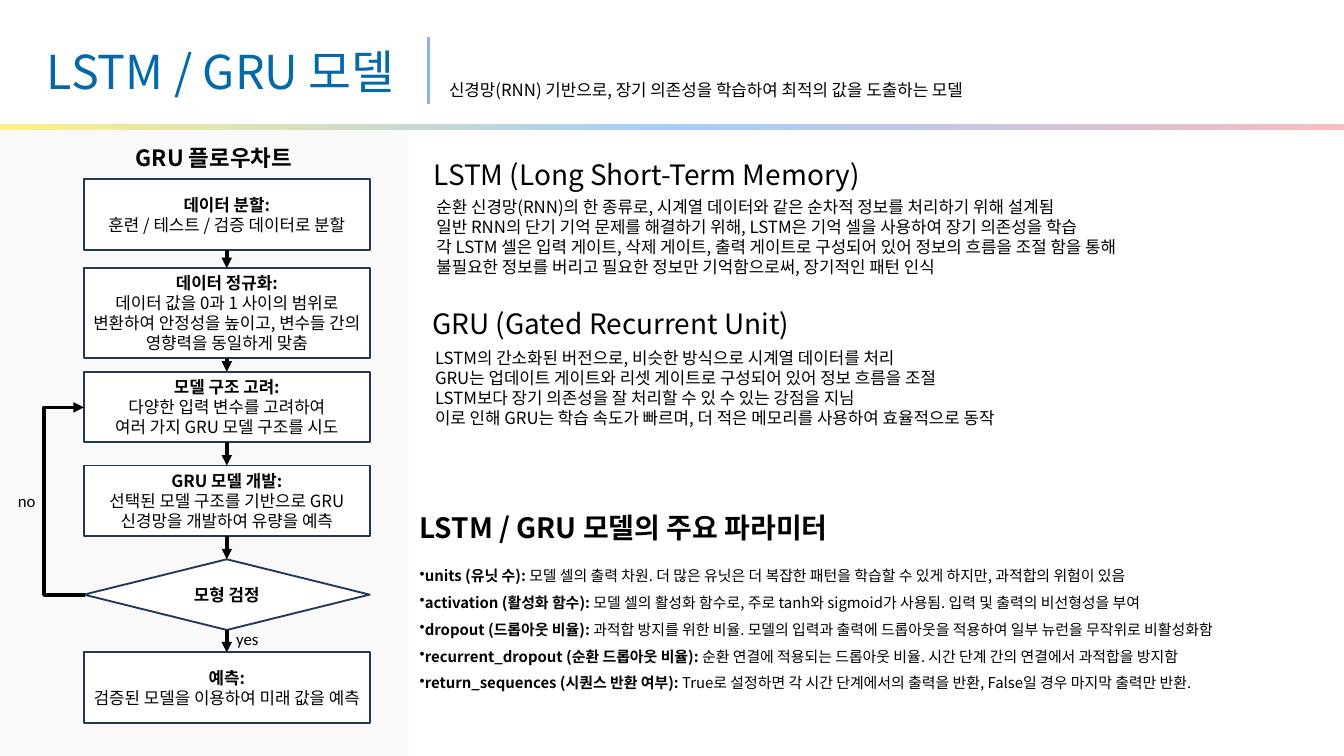
from copy import deepcopy
from itertools import pairwise

from lxml.etree import SubElement
from pptx import Presentation
from pptx.dml.color import RGBColor
from pptx.enum.shapes import MSO_CONNECTOR as LINK, MSO_SHAPE as KIND
from pptx.enum.text import MSO_ANCHOR as ANCHOR, PP_ALIGN as ALIGN
from pptx.oxml.ns import qn
from pptx.util import Pt

PX = 9525
KR = "Noto Sans CJK KR"
BLACK = RGBColor(0, 0, 0)
WHITE = RGBColor(255, 255, 255)
PALE = RGBColor(0xF9, 0xF9, 0xF9)
BLUE = RGBColor(0x03, 0x69, 0xA9)
SKY = RGBColor(0x8E, 0xB4, 0xE3)
NAVY = RGBColor(0x23, 0x39, 0x53)
RAINBOW = [RGBColor(0xFF, 0xEE, 0x89), RGBColor(0xA3, 0xCD, 0xFF), RGBColor(0xFA, 0xBC, 0xBF)]

deck = Presentation()
deck.slide_width, deck.slide_height = 1920 * PX, 1080 * PX
slide = deck.slides.add_slide(deck.slide_layouts[6])
shapes = slide.shapes


def write(shape, rows, size, color=BLACK, font=KR, align=None, space=None, bullet=False):
    """Fill a shape with one paragraph per (bold part, plain part) row."""
    frame = shape.text_frame
    frame.word_wrap = True
    for i, row in enumerate(rows):
        para = frame.add_paragraph() if i else frame.paragraphs[0]
        if bullet:
            SubElement(para._p.get_or_add_pPr(), qn("a:buChar"), char="•")
        para.alignment = align
        para.line_spacing = space
        for part, bold in zip(row, (True, False)):
            if part:
                run = para.add_run()
                run.text = part
                run.font.size, run.font.bold, run.font.name = Pt(size), bold, font
                run.font.color.rgb = color
                SubElement(run.font._element, qn("a:ea"), typeface=font)


def link(kind, start, end, color, arrow=True):
    line = shapes.add_connector(kind, *(n * PX for n in start + end))
    line.line.color.rgb = color
    line.line.width = Pt(3.75)
    if arrow:
        SubElement(line.line._get_or_add_ln(), qn("a:tailEnd"), type="triangle")
    SubElement(line._element.spPr, qn("a:effectLst"))
    return line


# Side panel and header
panel = shapes.add_shape(KIND.RECTANGLE, 0, 185 * PX, 584 * PX, 894 * PX)
panel.shadow.inherit = False
panel.fill.solid()
panel.fill.fore_color.rgb = PALE
panel.line.fill.background()

title = shapes.add_textbox(67 * PX, 55 * PX, 540 * PX, 93 * PX)
frame = title.text_frame
frame.margin_left = frame.margin_right = frame.margin_top = frame.margin_bottom = 0
frame.vertical_anchor = ANCHOR.MIDDLE
write(title, [("", "LSTM / GRU 모델")], 50, BLUE, space=1.0)
link(LINK.STRAIGHT, (612, 53), (612, 148), SKY, arrow=False)

# Flowchart
LEFT, WIDE, MID = 120, 408, 324
steps = [
    (256, 101, KIND.RECTANGLE, "데이터 분할:", ["훈련 / 테스트 / 검증 데이터로 분할"]),
    (383, 128, KIND.RECTANGLE, "데이터 정규화:",
     ["데이터 값을 0과 1 사이의 범위로 변환하여 안정성을 높이고, 변수들 간의 영향력을 동일하게 맞춤"]),
    (531, 101, KIND.RECTANGLE, "모델 구조 고려:",
     ["다양한 입력 변수를 고려하여", "여러 가지 GRU 모델 구조를 시도"]),
    (665, 101, KIND.RECTANGLE, "GRU 모델 개발:",
     ["선택된 모델 구조를 기반으로 GRU 신경망을 개발하여 유량을 예측"]),
    (799, 101, KIND.FLOWCHART_DECISION, "모형 검정", []),
    (932, 101, KIND.RECTANGLE, "예측:", ["검증된 모델을 이용하여 미래 값을 예측"]),
]
for top, high, kind, head, body in steps:
    box = shapes.add_shape(kind, LEFT * PX, top * PX, WIDE * PX, high * PX)
    box.shadow.inherit = False
    box.fill.solid()
    box.fill.fore_color.rgb = WHITE
    box.line.color.rgb = NAVY
    box.line.width = Pt(2)
    box.text_frame.vertical_anchor = ANCHOR.MIDDLE
    write(box, [(head, "")] + [("", row) for row in body], 18, align=ALIGN.CENTER)

for step, after in pairwise(steps):
    link(LINK.STRAIGHT, (MID, step[0] + step[1]), (MID, after[0]), BLACK)

loop = link(LINK.ELBOW, (LEFT + 2, 850), (LEFT, 582), BLACK)
guides = loop._element.spPr.find(qn("a:prstGeom")).get_or_add_avLst()
SubElement(guides, qn("a:gd"), name="adj1", fmla="val 2950000")

for left, top, word in [(280, 893, "yes"), (-32, 696, "no")]:
    note = shapes.add_textbox(left * PX, top * PX, 135 * PX, 38 * PX)
    write(note, [("", word)], 18, font="Calibri")
    note.text_frame.paragraphs[0].level = 1

# Rainbow rule under the header
band = shapes.add_shape(KIND.RECTANGLE, 0, 177 * PX, 1920 * PX, 9 * PX)
band.shadow.inherit = False
band.line.fill.background()
band.fill.gradient()
band.fill.gradient_angle = 0
stops = band._element.spPr.find(qn("a:gradFill")).find(qn("a:gsLst"))
stops.insert(1, deepcopy(stops[0]))
for i, (stop, color) in enumerate(zip(band.fill.gradient_stops, RAINBOW)):
    stop.position = i / 2
    stop.color.rgb = color

# Headings and body text
heads = [
    (39, 201, 533, 48, 24, ALIGN.CENTER, ("GRU 플로우차트", "")),
    (632, 109, 1417, 38, 18, None,
     ("", "신경망(RNN) 기반으로, 장기 의존성을 학습하여 최적의 값을 도출하는 모델")),
    (610, 221, 1414, 59, 30, None, ("", "LSTM (Long Short-Term Memory)")),
    (608, 433, 568, 59, 30, None, ("", "GRU (Gated Recurrent Unit)")),
    (590, 724, 636, 59, 30, None, ("LSTM / GRU 모델의 주요 파라미터", "")),
]
for left, top, wide, high, size, align, row in heads:
    head = shapes.add_textbox(left * PX, top * PX, wide * PX, high * PX)
    write(head, [row], size, align=align)

bodies = [
    (614, 276, [
        "순환 신경망(RNN)의 한 종류로, 시계열 데이터와 같은 순차적 정보를 처리하기 위해 설계됨",
        "일반 RNN의 단기 기억 문제를 해결하기 위해, LSTM은 기억 셀을 사용하여 장기 의존성을 학습",
        "각 LSTM 셀은 입력 게이트, 삭제 게이트, 출력 게이트로 구성되어 있어 정보의 흐름을 조절 함을 통해",
        "불필요한 정보를 버리고 필요한 정보만 기억함으로써, 장기적인 패턴 인식"]),
    (612, 492, [
        "LSTM의 간소화된 버전으로, 비슷한 방식으로 시계열 데이터를 처리",
        "GRU는 업데이트 게이트와 리셋 게이트로 구성되어 있어 정보 흐름을 조절",
        "LSTM보다 장기 의존성을 잘 처리할 수 있 수 있는 강점을 지님",
        "이로 인해 GRU는 학습 속도가 빠르며, 더 적은 메모리를 사용하여 효율적으로 동작"]),
]
for left, top, rows in bodies:
    body = shapes.add_textbox(left * PX, top * PX, 1414 * PX, 126 * PX)
    write(body, [("", row) for row in rows], 18)

params = [
    ("units (유닛 수): ",
     "모델 셀의 출력 차원. 더 많은 유닛은 더 복잡한 패턴을 학습할 수 있게 하지만, 과적합의 위험이 있음"),
    ("activation (활성화 함수): ",
     "모델 셀의 활성화 함수로, 주로 tanh와 sigmoid가 사용됨. 입력 및 출력의 비선형성을 부여"),
    ("dropout (드롭아웃 비율): ",
     "과적합 방지를 위한 비율. 모델의 입력과 출력에 드롭아웃을 적용하여 일부 뉴런을 무작위로 비활성화함"),
    ("recurrent_dropout (순환 드롭아웃 비율): ",
     "순환 연결에 적용되는 드롭아웃 비율. 시간 단계 간의 연결에서 과적합을 방지함"),
    ("return_sequences (시퀀스 반환 여부): ",
     "True로 설정하면 각 시간 단계에서의 출력을 반환, False일 경우 마지막 출력만 반환."),
]
table = shapes.add_textbox(590 * PX, 792 * PX, 1952 * PX, 203 * PX)
write(table, params, 16, space=1.5, bullet=True)

deck.save("out.pptx")
